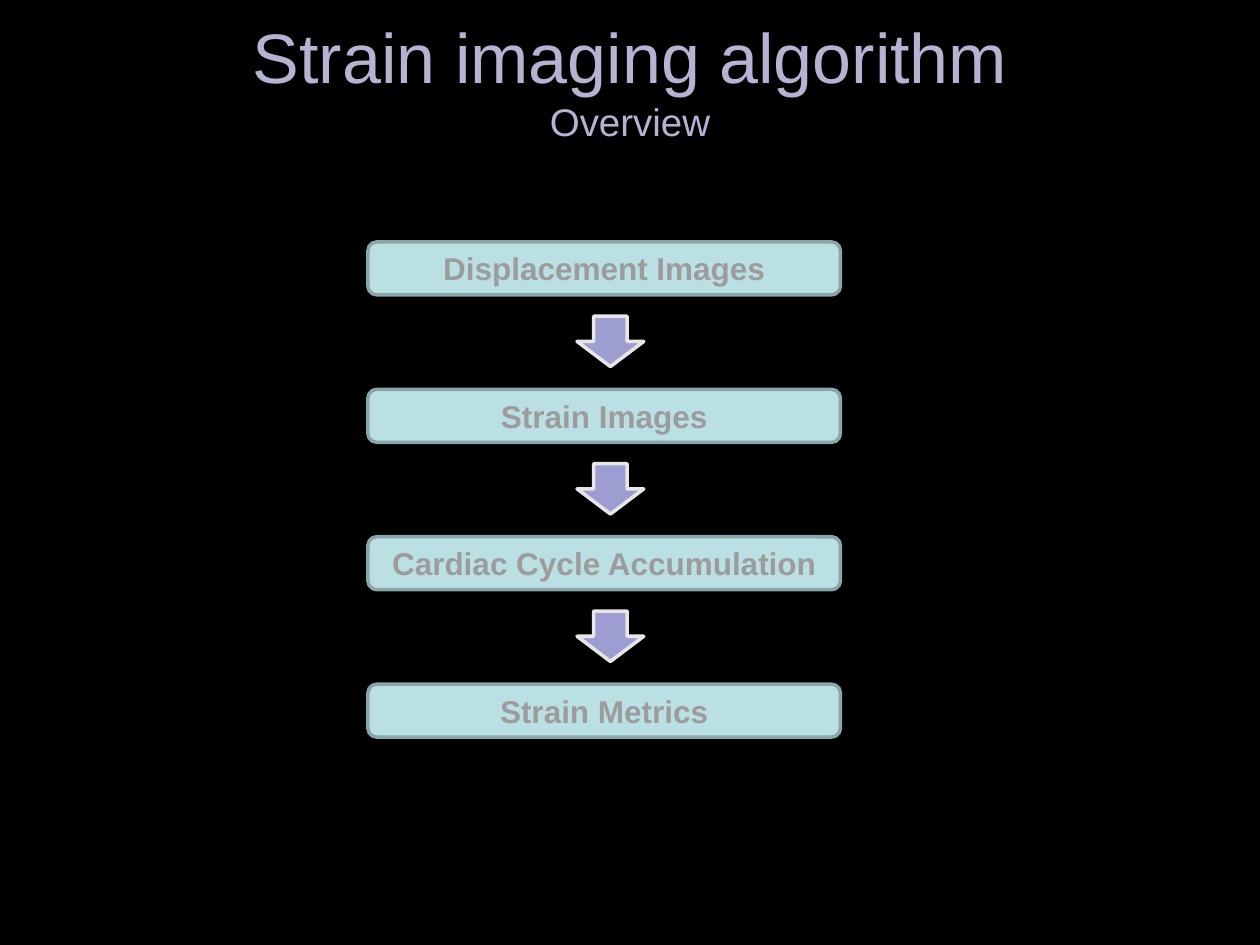
from pptx import Presentation
from pptx.dml.color import RGBColor
from pptx.enum import shapes, text
from pptx.util import Inches, Pt

COLORS = {
    "background": "000000",
    "title": "B4B4D2",
    "box": "BBE0E3",
    "box_line": "8AA6A8",
    "box_text": "9C9C9C",
    "arrow": "9D9DD2",
    "arrow_line": "E6E6E6",
}
STEPS = ["Displacement Images", "Strain Images",
         "Cardiac Cycle Accumulation", "Strain Metrics"]
FIRST_TOP, PITCH = 1.92, 1.17
ARROW_OFFSET = 0.59


def add_run(paragraph, words, size, color, bold=False):
    run = paragraph.add_run()
    run.text = words
    run.font.name = "Arial"
    run.font.size = Pt(size)
    run.font.bold = bold
    run.font.color.rgb = RGBColor.from_string(COLORS[color])


def add_step_shape(kind, left, top, width, height, color):
    shape = slide.shapes.add_shape(
        kind, Inches(left), Inches(top), Inches(width), Inches(height))
    shape.shadow.inherit = False
    shape.fill.solid()
    shape.fill.fore_color.rgb = RGBColor.from_string(COLORS[color])
    shape.line.color.rgb = RGBColor.from_string(COLORS[color + "_line"])
    shape.line.width = Pt(2)
    return shape


presentation = Presentation()
presentation.slide_width = Inches(10)
presentation.slide_height = Inches(7.5)
slide = presentation.slides.add_slide(presentation.slide_layouts[5])
slide.background.fill.solid()
slide.background.fill.fore_color.rgb = RGBColor.from_string(COLORS["background"])

title = slide.shapes.title
title.left, title.top = Inches(0.5), Inches(0)
title.width, title.height = Inches(9), Inches(1.25)
title.text_frame.auto_size = text.MSO_AUTO_SIZE.NONE
title.text_frame.vertical_anchor = text.MSO_ANCHOR.MIDDLE
paragraph = title.text_frame.paragraphs[0]
paragraph.alignment = text.PP_ALIGN.CENTER
add_run(paragraph, "Strain imaging algorithm", 40, "title")
paragraph.add_line_break()
add_run(paragraph, "Overview", 22, "title")

for index, step in enumerate(STEPS):
    top = FIRST_TOP + index * PITCH
    box = add_step_shape(shapes.MSO_SHAPE.ROUNDED_RECTANGLE,
                         2.92, top, 3.75, 0.42, "box")
    frame = box.text_frame
    frame.word_wrap = True
    frame.vertical_anchor = text.MSO_ANCHOR.MIDDLE
    paragraph = frame.paragraphs[0]
    paragraph.alignment = text.PP_ALIGN.CENTER
    add_run(paragraph, step, 18, "box_text", bold=True)
    if index < len(STEPS) - 1:
        add_step_shape(shapes.MSO_SHAPE.DOWN_ARROW,
                       4.58, top + ARROW_OFFSET, 0.53, 0.4, "arrow")

presentation.save("out.pptx")
